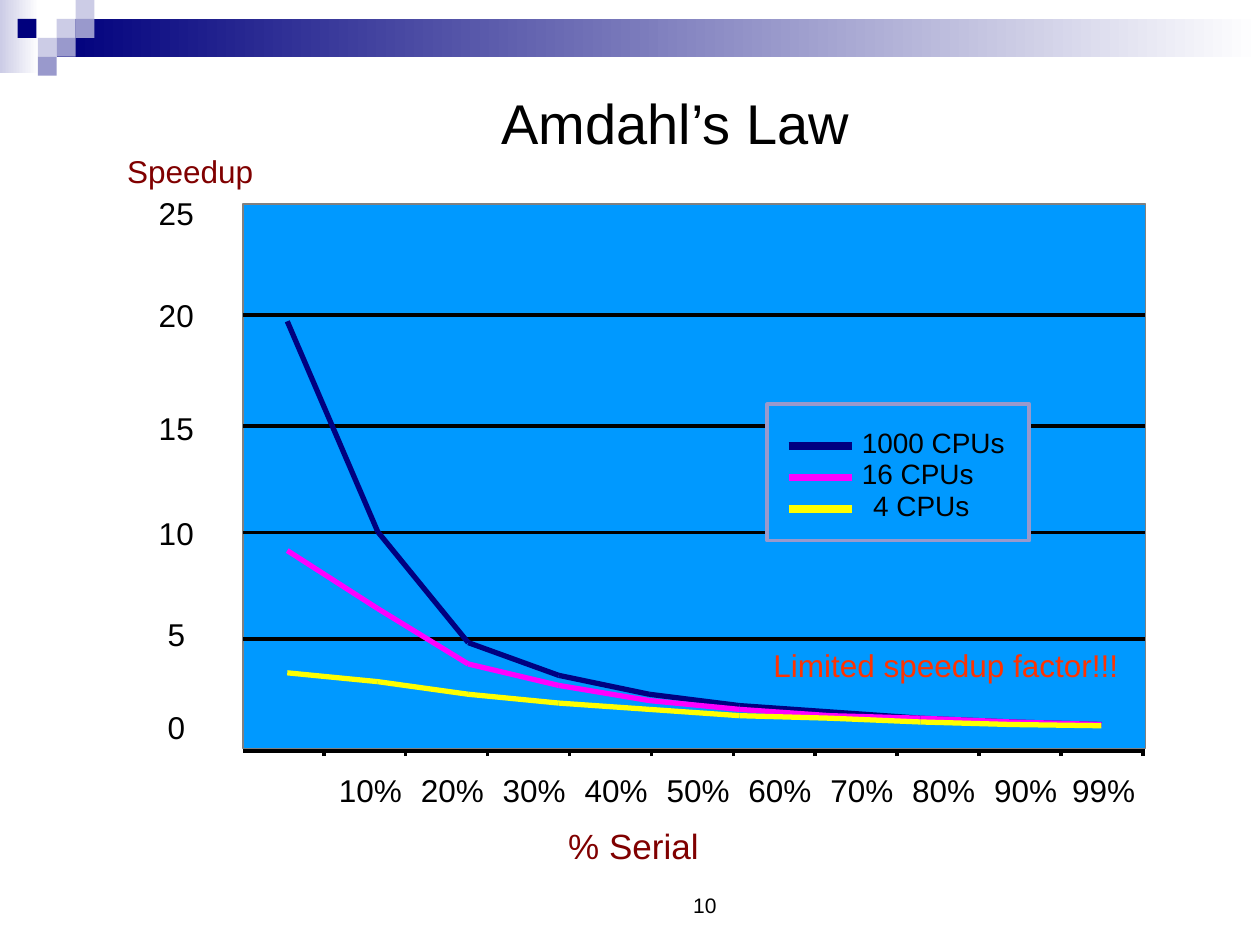
from dataclasses import dataclass
from itertools import pairwise

from lxml import etree
from pptx import Presentation, util as u
from pptx.dml.color import RGBColor
from pptx.enum import shapes, text
from pptx.oxml.ns import qn

# Grid of 100 columns and 75 rows
COLS, ROWS = 100, 75
deck = Presentation()
deck.slide_width, deck.slide_height = u.Inches(10), u.Inches(7.5)
slide = deck.slides.add_slide(deck.slide_layouts[6])

BLACK, NAVY, PINK, YELLOW = "000000", "000080", "FF00FF", "FFFF00"
SKY, MAROON, LILAC, PALE = "0099FF", "800000", "9999CC", "CCCCE6"
DARK, WHITE = "00007D", "FFFFFF"


@dataclass
class Box:
    col: float
    row: float
    wide: float
    high: float


@dataclass
class Curve:
    name: str
    hue: str
    rows: list[float]
    col: float
    wide: float


def across(col: float) -> int:
    return round(deck.slide_width * col / COLS)


def down(row: float) -> int:
    return round(deck.slide_height * row / ROWS)


def frame(box: Box) -> tuple[int, int, int, int]:
    return across(box.col), down(box.row), across(box.wide), down(box.high)


def paint(part, hue: str) -> None:
    if hasattr(part, "solid"):
        part.solid()
        part = part.fore_color
    part.rgb = RGBColor.from_string(hue)


def block(box: Box, hue: str, fade: str = "", edge: str = "", weight: float = 0) -> None:
    shape = slide.shapes.add_shape(shapes.MSO_SHAPE.RECTANGLE, *frame(box))
    shape.shadow.inherit = False
    if fade:
        shape.fill.gradient()
        shape.fill.gradient_angle = 0
        for stop, tone, place in zip(shape.fill.gradient_stops, (hue, fade), (0, 1)):
            paint(stop.color, tone)
            stop.position = place
    else:
        paint(shape.fill, hue)
    if edge:
        paint(shape.line.fill, edge)
        shape.line.width = u.Pt(weight)
    else:
        shape.line.fill.background()


def rule(x1: float, y1: float, x2: float, y2: float, hue: str = BLACK, weight: float = 0) -> None:
    line = slide.shapes.add_connector(
        shapes.MSO_CONNECTOR.STRAIGHT, across(x1), down(y1), across(x2), down(y2))
    paint(line.line.fill, hue)
    line.line.width = u.Pt(weight)
    etree.SubElement(line._element.spPr, qn("a:effectLst"))


def write(words: str, box: Box, *, size: float = 18, hue: str = BLACK, wrap: bool = False,
          pad: bool = False, grow: bool = True, align=text.PP_ALIGN.LEFT,
          anchor=text.MSO_ANCHOR.TOP) -> None:
    body = slide.shapes.add_textbox(*frame(box)).text_frame
    body.word_wrap, body.vertical_anchor = wrap, anchor
    if grow:
        body.auto_size = text.MSO_AUTO_SIZE.SHAPE_TO_FIT_TEXT
    if not pad:
        body.margin_left = body.margin_right = body.margin_top = body.margin_bottom = 0
    line = body.paragraphs[0]
    line.alignment = align
    run = line.add_run()
    run.text = words
    run.font.name, run.font.size = "Arial", u.Pt(size)
    paint(run.font.color, hue)


# Top band and its squares
TILE = 1.5
block(Box(0, 0, 3.1, 5.8), PALE, fade=WHITE)
block(Box(4.5, TILE, 95.5, 3), DARK, fade=WHITE)
for across_n, down_n, hue in [(3, 1, PALE), (4, 0, PALE), (4, 1, LILAC), (2, 2, PALE),
                              (0.93, 1, DARK), (3, 2, LILAC), (2, 3, LILAC)]:
    block(Box(across_n * TILE, down_n * TILE, TILE, TILE), hue)

# Page number
write("10", Box(40.1, 68.3, 31.7, 5), size=12, wrap=True, pad=True, grow=False,
      align=text.PP_ALIGN.CENTER, anchor=text.MSO_ANCHOR.BOTTOM)

# Plot area and grid lines
plot = Box(19.3, 16.2, 71.6, 43.2)
right = plot.col + plot.wide
block(plot, SKY, edge="808080", weight=0.75)
for row in (50.7, 42.25, 33.8, 25):
    rule(plot.col, row, right, row)

# Curves
curves = [
    Curve("1000 CPUs", NAVY,
          [25.5, 42.2, 51, 53.6, 55.1, 56, 56.5, 57, 57.3, 57.5], 68.4, 11.5),
    Curve("16 CPUs", PINK,
          [43.7, 48.3, 52.7, 54.4, 55.6, 56.3, 56.8, 57, 57.3, 57.5], 68.4, 9),
    Curve("4 CPUs", YELLOW,
          [53.4, 54.1, 55.1, 55.8, 56.3, 56.8, 57, 57.3, 57.5, 57.6], 69.3, 7.8),
]
START, STEP = 22.8, 7.18
for curve in curves:
    for n, (here, there) in enumerate(pairwise(curve.rows)):
        rule(START + n * STEP, here, START + (n + 1) * STEP, there, curve.hue, 3)

# Bottom axis
BASE, GAP = 59.6, 6.5
rule(plot.col, BASE, right, BASE)
for n in range(11):
    rule(25.7 + n * GAP, 60, 25.7 + n * GAP, BASE)
for n in range(10):
    last = n == 9
    write("99%" if last else f"{(n + 1) * 10}%",
          Box(85.1 if last else 26.9 + n * GAP, 61.2, 5, 3))

# Left axis
for n, row in enumerate([56.2, 48.8, 40.8, 32.5, 23.5, 15.4]):
    wide = 1.4 if n < 2 else 2.8
    write(str(n * 5), Box(14 - wide / 2, row, wide, 3))
write("Speedup", Box(10.1, 12.1, 10.6, 3), hue=MAROON)
write("% Serial", Box(45.1, 65.4, 10.8, 3.3), size=20, hue=MAROON)

# Legend
block(Box(60.9, 32.1, 20.8, 10.8), SKY, edge=LILAC, weight=2.25)
for n, curve in enumerate(curves):
    row = 35.4 + n * 2.5
    rule(62.6, row, 67.6, row, curve.hue, 4.5)
    write(curve.name, Box(curve.col, row - 1.65, curve.wide, 2.7), size=16)

# Title and remark
write("Amdahl’s Law", Box(39.8, 7, 27.9, 5.4), size=32)
write("Limited speedup factor!!!", Box(60.4, 50.8, 29.4, 4), hue="FF3300", pad=True)

deck.save("out.pptx")
